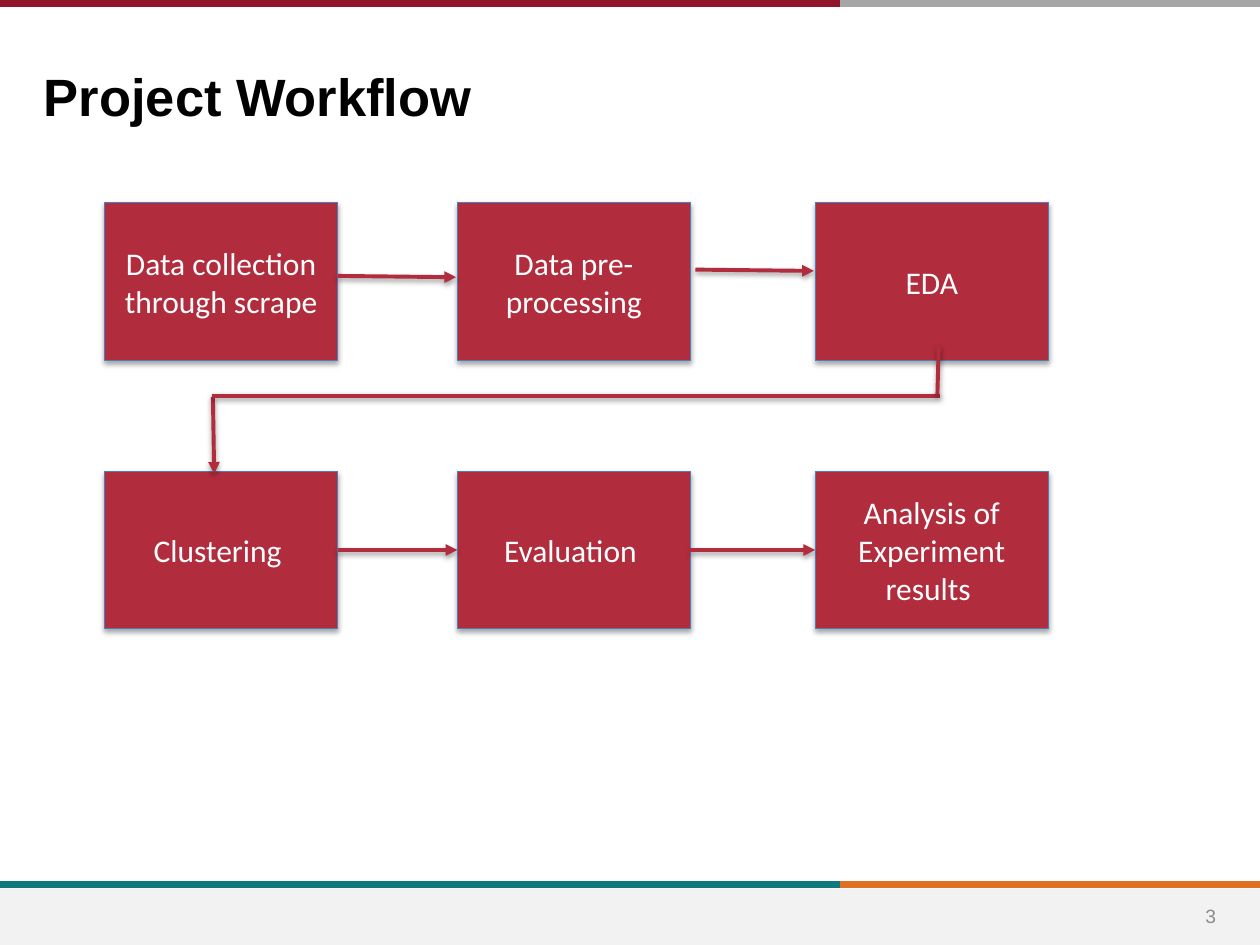
from lxml import etree
from pptx import Presentation
from pptx.dml.color import RGBColor
from pptx.enum.shapes import MSO_CONNECTOR, MSO_SHAPE
from pptx.enum.text import MSO_ANCHOR, PP_ALIGN
from pptx.oxml.ns import qn
from pptx.util import Inches, Pt

STRAIGHT = MSO_CONNECTOR.STRAIGHT
RECTANGLE = MSO_SHAPE.RECTANGLE
MIDDLE, TOP = MSO_ANCHOR.MIDDLE, MSO_ANCHOR.TOP
CENTER, LEFT = PP_ALIGN.CENTER, PP_ALIGN.LEFT
LEFT_SIDE, RIGHT_SIDE = 1, 3

CRIMSON = "B12C3D"
STEPS = [
    ["Data collection through scrape", "Data pre-processing", "EDA"],
    ["Clustering ", "Evaluation ", "Analysis of Experiment results "],
]
COLUMN_LEFTS = [0.83, 3.63, 6.47]
ROW_TOPS = [1.61, 3.74]
STEP_SIZE = (1.85, 1.25)

BAND_SPLIT = 6.67
BANDS = [
    (7.02, "0F787D", "DF7023"),
    (0.03, "90152A", "A6A6A6"),
]
ARROWS = [
    ((2.68, 2.19), (3.62, 2.2)),
    ((5.52, 2.14), (6.46, 2.15)),
    ((1.69, 3.15), (1.7, 3.76)),
]
RETURN_LINES = [
    ((1.68, 3.14), (7.46, 3.14)),
    ((7.45, 2.75), (7.44, 3.13)),
]

TITLE_FONT = {"name": "Arial", "size": Pt(30), "bold": True}
NUMBER_FONT = {"name": "Arial", "size": Pt(11)}
STEP_FONT = {"name": "Calibri", "size": Pt(18)}


def color(value):
    return RGBColor.from_string(value)


def add_shadow(shape, distance, opacity):
    properties = shape._element.spPr
    effects = properties.find(qn("a:effectLst"))
    if effects is None:
        effects = etree.SubElement(properties, qn("a:effectLst"))
    shadow = etree.SubElement(
        effects, qn("a:outerShdw"), blurRad=str(Pt(3.1)), dist=str(Pt(distance)),
        dir="5400000", rotWithShape="0")
    black = etree.SubElement(shadow, qn("a:srgbClr"), val="000000")
    etree.SubElement(black, qn("a:alpha"), val=str(opacity * 1000))


def add_line(page, start, end, line_color, width):
    line = page.shapes.add_connector(
        STRAIGHT, *(Inches(value) for value in (*start, *end)))
    line.line.color.rgb = color(line_color)
    line.line.width = Pt(width)
    etree.SubElement(line._element.spPr, qn("a:effectLst"))
    return line


def add_flow_line(page, start, end, arrow=True):
    line = add_line(page, start, end, CRIMSON, 2.25)
    if arrow:
        etree.SubElement(line.line._get_or_add_ln(), qn("a:tailEnd"), type="triangle")
    add_shadow(line, 1.6, 38)
    return line


def add_rectangle(page, place, fill):
    box = page.shapes.add_shape(RECTANGLE, *map(Inches, place))
    box.shadow.inherit = False
    box.fill.solid()
    box.fill.fore_color.rgb = color(fill)
    box.line.fill.background()
    return box


def write(box, text, font, text_color, align=CENTER, anchor=MIDDLE):
    frame = box.text_frame
    frame.word_wrap = True
    frame.vertical_anchor = anchor
    para = frame.paragraphs[0]
    para.alignment = align
    span = para.add_run()
    span.text = text
    for name, value in font.items():
        setattr(span.font, name, value)
    span.font.color.rgb = color(text_color)


def add_label(page, place, *content):
    write(page.shapes.add_textbox(*map(Inches, place)), *content)


def add_step(page, left, top, text):
    box = add_rectangle(page, (left, top, *STEP_SIZE), CRIMSON)
    box.line.color.rgb = color("4B7EBC")
    box.line.width = Pt(0.75)
    add_shadow(box, 1.8, 35)
    write(box, text, STEP_FONT, "FFFFFF")
    return box


def main():
    deck = Presentation()
    deck.slide_width, deck.slide_height = Inches(10), Inches(7.5)
    page = deck.slides.add_slide(deck.slide_layouts[6])

    for y, left_color, right_color in BANDS:
        add_line(page, (BAND_SPLIT, y), (10, y), right_color, 4)
        add_line(page, (0, y), (BAND_SPLIT, y), left_color, 4)
    add_rectangle(page, (0, 7.05, 10, 0.45), "F2F2F2")
    add_label(page, (9.35, 7.07, 0.52, 0.4), "3", NUMBER_FONT, "8C8C8C")
    add_label(page, (0.25, 0.46, 7.99, 0.59), "Project Workflow", TITLE_FONT,
              "000000", LEFT, TOP)

    boxes = [
        [add_step(page, left, top, text) for left, text in zip(COLUMN_LEFTS, row)]
        for top, row in zip(ROW_TOPS, STEPS)
    ]

    for start, end in ARROWS:
        add_flow_line(page, start, end)
    for start, end in RETURN_LINES:
        add_flow_line(page, start, end, arrow=False)

    clustering, evaluation, analysis = boxes[1]
    for source, target in [(clustering, evaluation), (evaluation, analysis)]:
        arrow = add_flow_line(page, (0, 0), (1, 1))
        arrow.begin_connect(source, RIGHT_SIDE)
        arrow.end_connect(target, LEFT_SIDE)

    deck.save("out.pptx")


if __name__ == "__main__":
    main()
